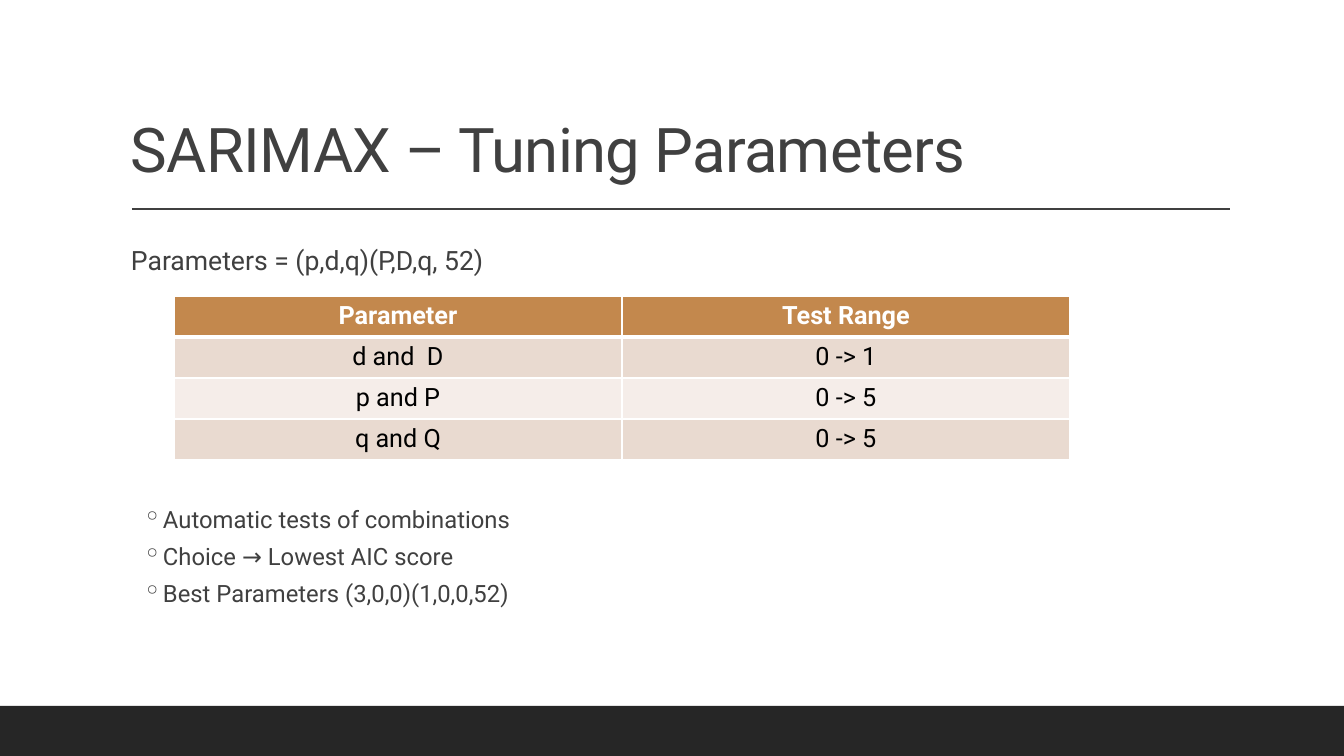
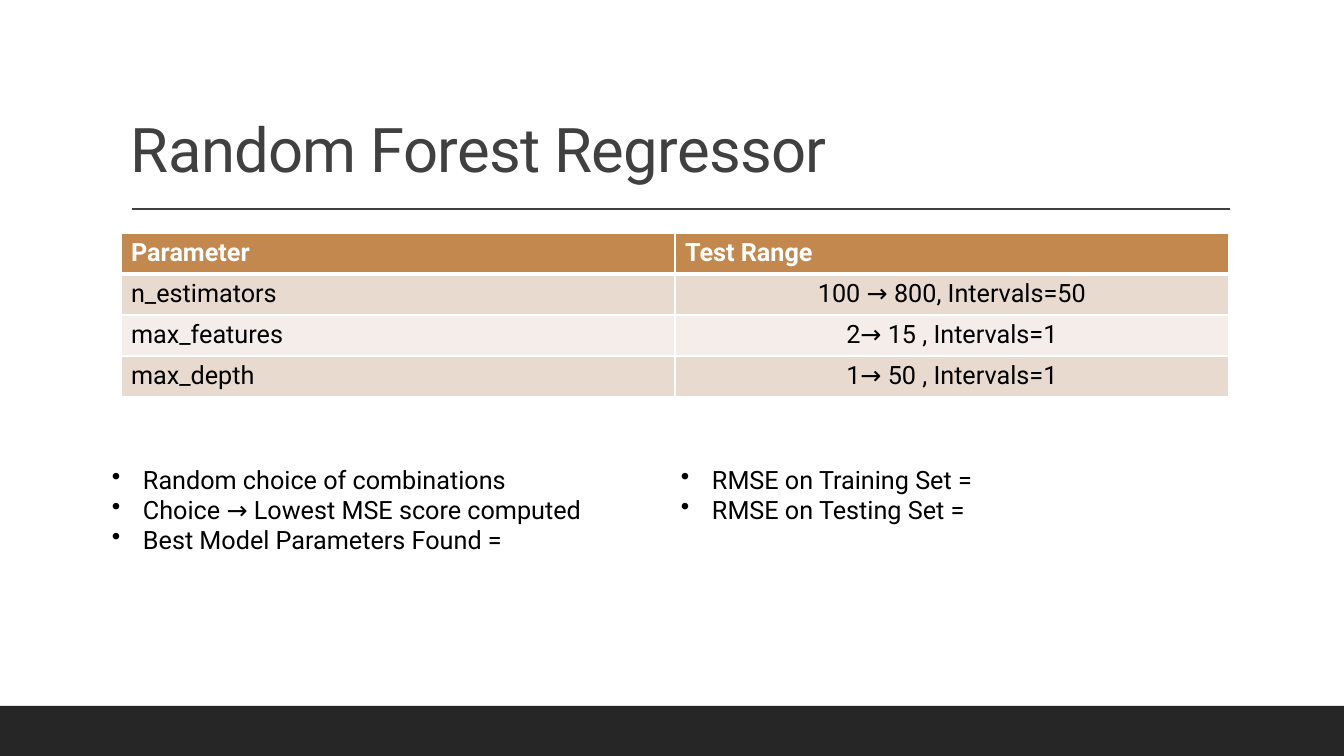
"""Build two slides on the tuning of forecasting models."""
from dataclasses import dataclass

from lxml.etree import SubElement
from pptx import Presentation
from pptx.dml.color import RGBColor
from pptx.enum.shapes import MSO_CONNECTOR, MSO_SHAPE
from pptx.enum.text import MSO_ANCHOR, PP_ALIGN
from pptx.oxml import parse_xml
from pptx.oxml.ns import nsdecls, qn
from pptx.util import Pt


@dataclass(frozen=True)
class Theme:
    font: str = "Roboto"
    ink: str = "404040"
    black: str = "000000"
    white: str = "FFFFFF"
    band: str = "262626"
    accent: str = "C3884D"
    stripes: tuple = ("E9DAD0", "F5EDE9")
    title_size: int = 44
    lead_size: int = 19
    body_size: int = 18
    list_size: int = 17


theme = Theme()


def px(length):
    return round(length * 914400 / 100.8)


def add_text(page, place, lines, size, color, bullet=None, hanging=(0, 0), inset=10):
    box = page.shapes.add_textbox(*map(px, place))
    frame = box.text_frame
    frame.word_wrap = True
    frame.margin_left = frame.margin_right = px(inset)
    frame.margin_top = frame.margin_bottom = px(5)
    frame.text = "\n".join(lines)
    for para in frame.paragraphs:
        if bullet:
            properties = para._p.get_or_add_pPr()
            properties.set("marL", str(px(hanging[0])))
            properties.set("indent", str(px(-hanging[1])))
            SubElement(properties, qn("a:buChar")).set("char", bullet)
        for span in para.runs:
            span.font.name = theme.font
            span.font.size = Pt(size)
            span.font.color.rgb = RGBColor.from_string(color)
    return frame


center, left = PP_ALIGN.CENTER, PP_ALIGN.LEFT
row_height = 41
slides = [
    {
        "title": "SARIMAX – Tuning Parameters",
        "table_place": (174, 296, 448),
        "header_align": (center, center),
        "body_align": (center, center),
        "rows": [
            ("Parameter", "Test Range"),
            ("d and  D", "0 -> 1"),
            ("p and P", "0 -> 5"),
            ("q and Q", "0 -> 5"),
        ],
    },
    {
        "title": "Random Forest Regressor",
        "table_place": (121, 233, 554),
        "header_align": (left, left),
        "body_align": (left, center),
        "rows": [
            ("Parameter", "Test Range"),
            ("n_estimators", "100 → 800, Intervals=50"),
            ("max_features", "2→ 15 , Intervals=1"),
            ("max_depth", "1→ 50 , Intervals=1"),
        ],
    },
]

deck = Presentation()
deck.slide_width, deck.slide_height = px(1344), px(756)
pages = []

for content in slides:
    page = deck.slides.add_slide(deck.slide_layouts[6])
    pages.append(page)

    band = page.shapes.add_shape(MSO_SHAPE.RECTANGLE, 0, px(706), px(1344), px(50))
    band.shadow.inherit = False
    band.fill.solid()
    band.fill.fore_color.rgb = RGBColor.from_string(theme.band)
    band.line.fill.background()

    rule = page.shapes.add_connector(
        MSO_CONNECTOR.STRAIGHT, px(132), px(209), px(1230), px(209)
    )
    rule.line.color.rgb = RGBColor.from_string(theme.ink)
    rule.line.width = Pt(1)
    SubElement(rule._element.spPr, qn("a:effectLst"))

    title = add_text(
        page, (121, 31, 1109, 160), [content["title"]], theme.title_size, theme.ink
    )
    title.vertical_anchor = MSO_ANCHOR.BOTTOM
    title.paragraphs[0].line_spacing = 0.9
    title.paragraphs[0].runs[0].font._element.set("spc", "-50")

    rows = content["rows"]
    table_left, table_top, column_width = content["table_place"]
    table = page.shapes.add_table(
        len(rows), 2, px(table_left), px(table_top),
        px(2 * column_width), px(len(rows) * row_height),
    ).table
    for column in table.columns:
        column.width = px(column_width)
    for row_index, values in enumerate(rows):
        header = row_index == 0
        table.rows[row_index].height = px(row_height)
        fill = theme.accent if header else theme.stripes[(row_index - 1) % 2]
        aligns = content["header_align" if header else "body_align"]
        borders = {"L": 1, "R": 1, "T": 3 if row_index == 1 else 1, "B": 3 if header else 1}
        for column_index, value in enumerate(values):
            cell = table.cell(row_index, column_index)
            cell.fill.solid()
            cell.fill.fore_color.rgb = RGBColor.from_string(fill)
            cell.text_frame.text = value
            para = cell.text_frame.paragraphs[0]
            para.alignment = aligns[column_index]
            font = para.runs[0].font
            font.name = theme.font
            font.size = Pt(theme.body_size)
            font.bold = header
            font.color.rgb = RGBColor.from_string(theme.white if header else theme.black)
            properties = cell._tc.get_or_add_tcPr()
            for position, (side, width) in enumerate(borders.items()):
                properties.insert(position, parse_xml(
                    f'<a:ln{side} {nsdecls("a")} w="{Pt(width)}"><a:solidFill>'
                    f'<a:srgbClr val="{theme.white}"/></a:solidFill></a:ln{side}>'
                ))

sarimax_page, forest_page = pages

lead = add_text(
    sarimax_page, (121, 233, 1109, 48), ["Parameters = (p,d,q)(P,D,q, 52)"],
    theme.lead_size, theme.ink,
)
lead.paragraphs[0].line_spacing = 1.2

findings = add_text(
    sarimax_page, (121, 500, 1109, 147),
    [
        "Automatic tests of combinations",
        "Choice → Lowest AIC score",
        "Best Parameters (3,0,0)(1,0,0,52)",
    ],
    theme.list_size, theme.ink, "◦", (42, 20), inset=0,
)
for index, para in enumerate(findings.paragraphs):
    para.space_before = Pt(2 if index else 0)
    para.space_after = Pt(4)

forest_lists = [
    (51, 102, [
        "Random choice of combinations",
        "Choice → Lowest MSE score computed",
        "Best Model Parameters Found =",
    ]),
    (620, 72, ["RMSE on Training Set =", "RMSE on Testing Set ="]),
]
for list_left, height, lines in forest_lists:
    add_text(
        forest_page, (list_left, 459, 672, height), lines,
        theme.body_size, theme.black, "•", (82, 31),
    )

deck.save("out.pptx")
